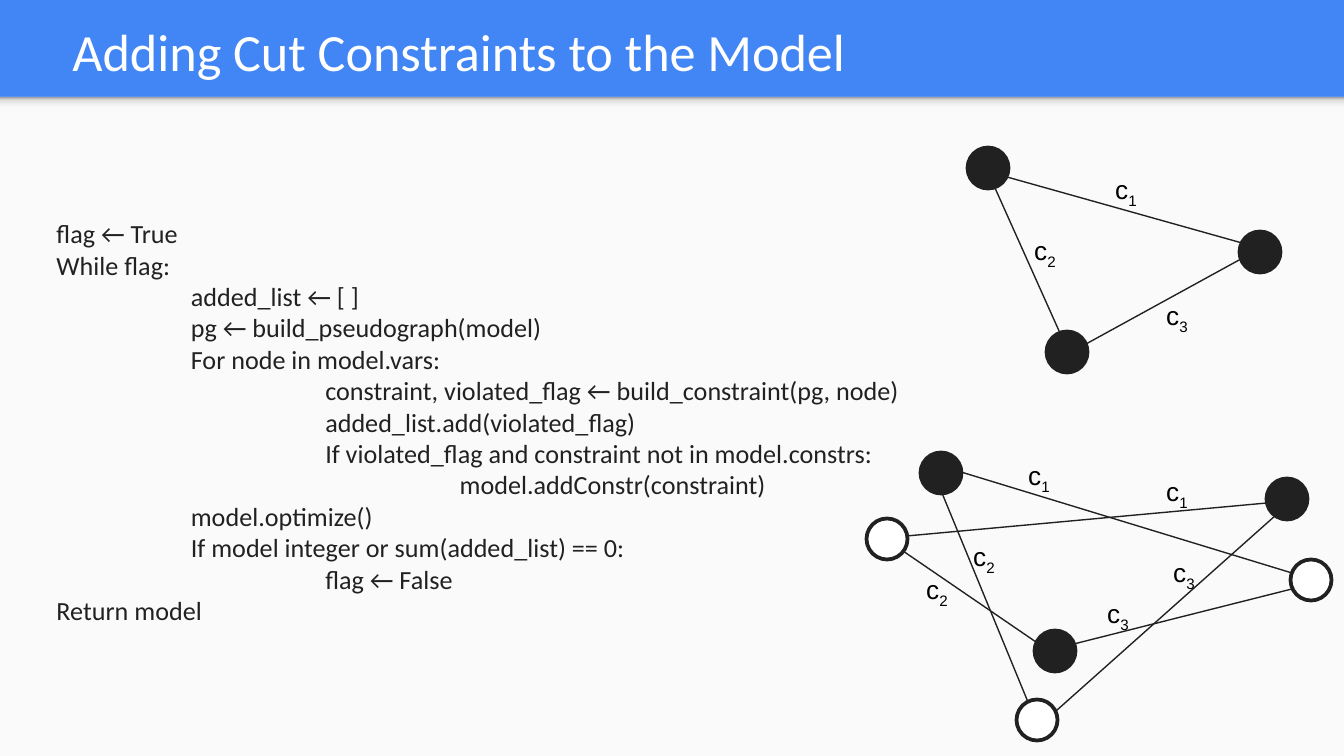
from lxml import etree
from pptx import Presentation
from pptx import util as u
from pptx.dml.color import RGBColor
from pptx.enum import shapes, text
from pptx.oxml import parse_xml
from pptx.oxml.ns import nsdecls, qn

SCALE = 914400 / 134.4
WIDTH, HEIGHT = 1344, 756
BAND, SHADE = 97, 16
TAB = 134.4
DIAMETER = 41
COLORS = {"blue": "4285F4", "paper": "FAFAFA", "ink": "212121",
          "white": "FFFFFF", "black": "000000"}
SHADE_STOPS = [(0, "999999"), (20, "DEDEDE"), (64, "F9F9F9"), (100, "F9F9F9")]

TITLE = "Adding Cut Constraints to the Model"
CODE = [  # (indent level, line)
    (0, "flag ← True"),
    (0, "While flag:"),
    (1, "added_list ← [ ]"),
    (1, "pg ← build_pseudograph(model)"),
    (1, "For node in model.vars:"),
    (2, "constraint, violated_flag ← build_constraint(pg, node)"),
    (2, "added_list.add(violated_flag)"),
    (2, "If violated_flag and constraint not in model.constrs:"),
    (3, "model.addConstr(constraint)"),
    (1, "model.optimize()"),
    (1, "If model integer or sum(added_list) == 0:"),
    (2, "flag ← False"),
    (0, "Return model"),
]
NODES = [  # (centre x, centre y, fill)
    (988, 168, "ink"), (1260, 252, "ink"), (1067, 352, "ink"),
    (941, 473, "ink"), (887, 539, "white"), (1287, 499, "ink"),
    (1311, 580, "white"), (1055, 651, "ink"), (1037, 720, "white"),
]
EDGES = [  # (start, end, subscript, label corner)
    ((1242, 243), (1007, 177), "1", (1102, 167)),
    ((1060, 333), (995, 188), "2", (1021, 228)),
    ((1241, 259), (1086, 344), "3", (1153, 293)),
    ((1292, 573), (961, 472), "1", (1015, 453)),
    ((1267, 503), (907, 536), "1", (1153, 469)),
    ((1028, 702), (942, 493), "2", (960, 534)),
    ((1036, 642), (903, 551), "2", (913, 567)),
    ((1292, 589), (1074, 644), "3", (1094, 591)),
    ((1056, 711), (1275, 516), "3", (1160, 550)),
]


def emu(*pixels):
    """Turn pixel lengths into EMU."""
    return [u.Emu(round(p * SCALE)) for p in pixels]


def rgb(name):
    """Look up a named colour."""
    return RGBColor.from_string(COLORS[name])


def style(font, name, size, color):
    """Set face, size and colour of a font."""
    font.name, font.size = name, u.Pt(size)
    font.color.rgb = rgb(color)


def place(shape, *frame):
    """Move and size a shape, given in pixels."""
    shape.left, shape.top, shape.width, shape.height = emu(*frame)


def add_shape(page, kind, frame, fill):
    """Add a shadowless, outline-free preset shape."""
    shape = page.shapes.add_shape(kind, *emu(*frame))
    shape.shadow.inherit = False
    shape.fill.solid()
    shape.fill.fore_color.rgb = rgb(fill)
    shape.line.fill.background()
    return shape


def add_background(page):
    """Draw the blue band, the pale panel and the shade between them."""
    page.background.fill.solid()
    page.background.fill.fore_color.rgb = rgb("blue")
    rect = shapes.MSO_SHAPE.RECTANGLE
    add_shape(page, rect, (0, BAND, WIDTH, HEIGHT - BAND), "paper")
    shade = add_shape(page, rect, (0, BAND, WIDTH, SHADE), "paper")
    stops = "".join(f'<a:gs pos="{pos * 1000}"><a:srgbClr val="{color}"/></a:gs>'
                    for pos, color in SHADE_STOPS)
    gradient = parse_xml(f'<a:gradFill {nsdecls("a")}><a:gsLst>{stops}</a:gsLst>'
                         '<a:lin ang="5400000" scaled="0"/></a:gradFill>')
    properties = shade.element.spPr
    properties.replace(properties.find(qn("a:solidFill")), gradient)


def fill_title(box):
    """Write the title on the band."""
    place(box, 59, 0, 1185, 95)
    frame = box.text_frame
    frame.text = TITLE
    frame.auto_size = text.MSO_AUTO_SIZE.NONE
    frame.vertical_anchor = text.MSO_ANCHOR.BOTTOM
    frame.margin_left = frame.margin_right = u.Inches(0.1)
    frame.margin_top = frame.margin_bottom = u.Inches(0.1)
    para = frame.paragraphs[0]
    para.alignment = text.PP_ALIGN.LEFT
    style(para.font, "Calibri", 28, "white")


def fill_code(box):
    """Write the pseudocode, one indented paragraph a line."""
    place(box, 43, 211, 882, 425)
    frame = box.text_frame
    frame.text = "\n".join(line for _, line in CODE)
    frame.auto_size = text.MSO_AUTO_SIZE.NONE
    frame.vertical_anchor = text.MSO_ANCHOR.TOP
    for para, (level, _) in zip(frame.paragraphs, CODE):
        para.space_before = u.Pt(0)
        style(para.font, "Calibri", 14, "ink")
        properties = para._p.get_or_add_pPr()
        properties.set("marL", str(emu(level * TAB)[0]))
        properties.set("indent", "0")
        none = etree.Element(qn("a:buNone"))
        properties.insert_element_before(none, "a:tabLst", "a:defRPr", "a:extLst")


def add_node(page, x, y, fill):
    """Add a graph node around its centre."""
    corner = (x - DIAMETER / 2, y - DIAMETER / 2)
    node = add_shape(page, shapes.MSO_SHAPE.OVAL,
                     (*corner, DIAMETER, DIAMETER), fill)
    node.line.color.rgb = rgb("ink")
    node.line.width = u.Pt(2)


def add_edge(page, start, end):
    """Add a thin straight edge."""
    edge = page.shapes.add_connector(shapes.MSO_CONNECTOR.STRAIGHT,
                                     *emu(*start, *end))
    edge.line.color.rgb = rgb("ink")
    edge.line.width = u.Pt(0.75)
    etree.SubElement(edge.element.spPr, qn("a:effectLst"))


def add_label(page, subscript, corner):
    """Add an edge cost with its subscript."""
    box = page.shapes.add_textbox(*emu(*corner, 50, 46))
    box.text_frame.word_wrap = False
    para = box.text_frame.paragraphs[0]
    style(para.font, "Arial", 14, "black")
    para.add_run().text = "c"
    span = para.add_run()
    span.text = subscript
    span.font._element.set("baseline", "-25000")


deck = Presentation()
deck.slide_width, deck.slide_height = emu(WIDTH, HEIGHT)
page = deck.slides.add_slide(deck.slide_layouts[1])
title, code = page.placeholders
add_background(page)
for box in (title, code):
    page.shapes._spTree.append(box.element)
fill_title(title)
fill_code(code)
for node in NODES:
    add_node(page, *node)
for start, end, _, _ in EDGES:
    add_edge(page, start, end)
for _, _, subscript, corner in EDGES:
    add_label(page, subscript, corner)
deck.save("out.pptx")
